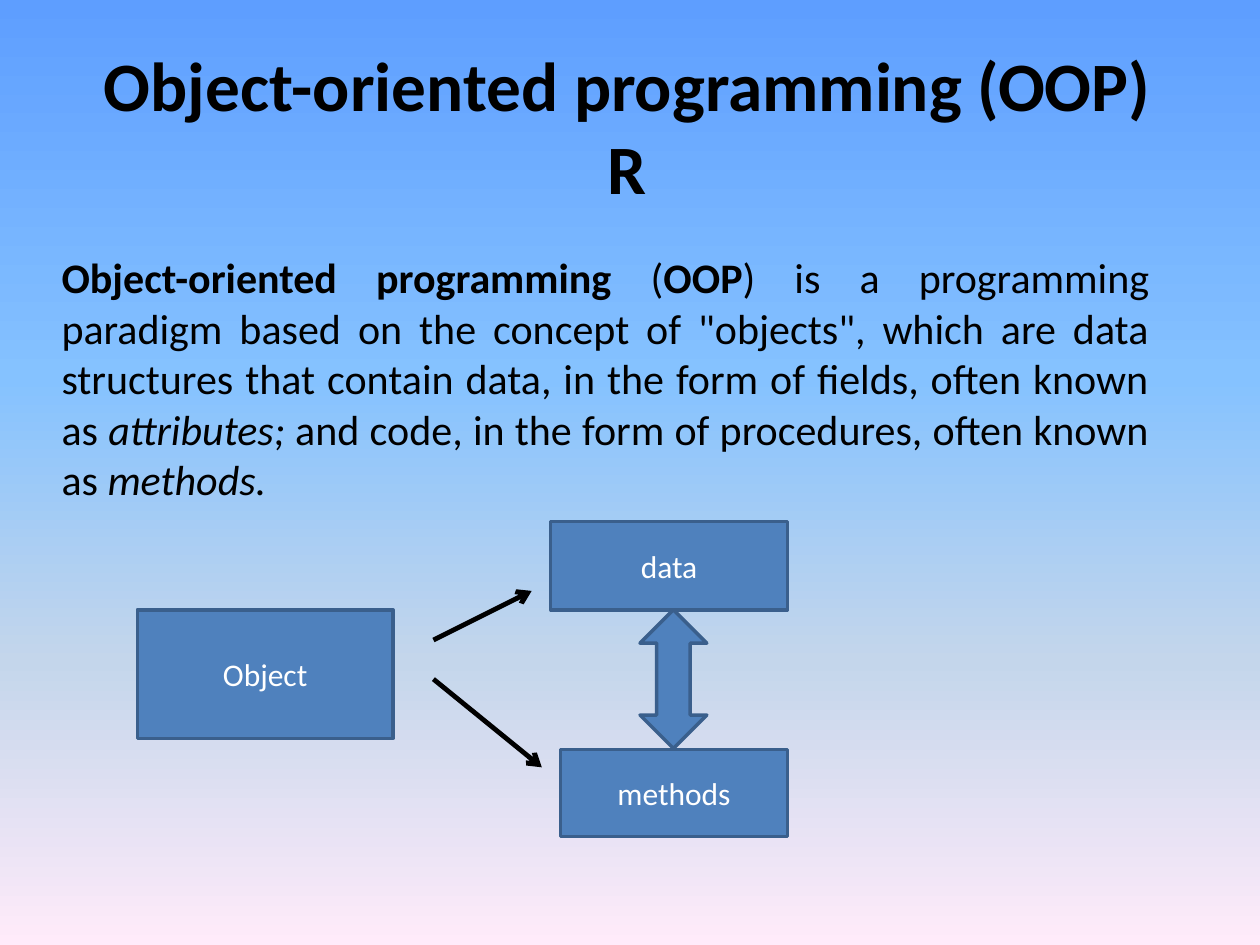
from pptx import Presentation
from pptx.dml.color import RGBColor
from pptx.enum.shapes import MSO_CONNECTOR, MSO_SHAPE
from pptx.enum.text import MSO_ANCHOR as ANCHOR, MSO_AUTO_SIZE as AUTO_SIZE, PP_ALIGN as ALIGN
from pptx.oxml.ns import qn
from pptx.util import Inches, Pt
from lxml.etree import SubElement

FONT = "Calibri"
BLACK = RGBColor(0x00, 0x00, 0x00)
WHITE = RGBColor(0xFF, 0xFF, 0xFF)
BOX_BLUE = RGBColor(0x4F, 0x81, 0xBD)
EDGE_BLUE = RGBColor(0x3A, 0x5F, 0x8C)
SKY = [
    (0, RGBColor(0x5E, 0x9E, 0xFF)),
    (40, RGBColor(0x85, 0xC2, 0xFF)),
    (70, RGBColor(0xC4, 0xD6, 0xEB)),
    (100, RGBColor(0xFF, 0xEB, 0xFA)),
]

DEFINITION = [
    ("Object-oriented programming", "bold"),
    (" (", ""),
    ("OOP", "bold"),
    (') is a programming paradigm based on the concept of "objects", which are '
     "data structures that contain data, in the form of fields, often known as ", ""),
    ("attributes;", "italic"),
    (" and code, in the form of procedures, often known as ", ""),
    ("methods.", "italic"),
]
BOXES = [
    ("Object", (1.09, 4.84, 2.03, 1.02)),
    ("data", (4.37, 4.14, 1.88, 0.7)),
    ("methods", (4.45, 5.95, 1.8, 0.69)),
]
ARROWS = [((3.44, 5.08), (4.22, 4.69)), ((3.44, 5.39), (4.3, 6.09))]
EXCHANGE = (5.08, 4.84, 0.53, 1.1)


def inches(values):
    """Convert a sequence of numbers to lengths."""
    return [Inches(value) for value in values]


def paint_background(slide, stops):
    """Fill the background with a gradient running from top to bottom."""
    slide.background.fill.gradient()
    gradient = slide.element.find(".//" + qn("a:gradFill"))
    stop_list = gradient.find(qn("a:gsLst"))
    for old_stop in list(stop_list):
        stop_list.remove(old_stop)
    for percent, color in stops:
        stop = SubElement(stop_list, qn("a:gs"), pos=str(percent * 1000))
        SubElement(stop, qn("a:srgbClr"), val=str(color))
    direction = gradient.find(qn("a:lin"))
    direction.set("ang", str(90 * 60000))
    direction.set("scaled", "0")


def add_run(paragraph, text, size, color, style=""):
    """Append one formatted run."""
    run = paragraph.add_run()
    run.text = text
    font = run.font
    font.name, font.size = FONT, Pt(size)
    font.bold, font.italic = style == "bold", style == "italic"
    font.color.rgb = color


def set_title(slide, lines, bounds):
    """Place the title placeholder and write its lines."""
    title = slide.shapes.title
    title.left, title.top, title.width, title.height = inches(bounds)
    frame = title.text_frame
    frame.auto_size = AUTO_SIZE.NONE
    frame.vertical_anchor = ANCHOR.MIDDLE
    heading = frame.paragraphs[0]
    heading.alignment = ALIGN.CENTER
    for index, line in enumerate(lines):
        if index:
            heading.add_line_break()
        add_run(heading, line, 39.6, BLACK, "bold")


def add_definition(slide, parts, bounds):
    """Add a justified paragraph of mixed styles."""
    frame = slide.shapes.add_textbox(*inches(bounds)).text_frame
    frame.word_wrap = True
    frame.auto_size = AUTO_SIZE.SHAPE_TO_FIT_TEXT
    paragraph = frame.paragraphs[0]
    paragraph.alignment = ALIGN.JUSTIFY
    for text, style in parts:
        add_run(paragraph, text, 24, BLACK, style)


def add_block(slide, kind, bounds, label=None):
    """Add a blue outlined shape, with a centred label if given."""
    block = slide.shapes.add_shape(kind, *inches(bounds))
    block.shadow.inherit = False
    block.fill.solid()
    block.fill.fore_color.rgb = BOX_BLUE
    block.line.color.rgb = EDGE_BLUE
    block.line.width = Pt(2)
    if label:
        block.text_frame.vertical_anchor = ANCHOR.MIDDLE
        paragraph = block.text_frame.paragraphs[0]
        paragraph.alignment = ALIGN.CENTER
        add_run(paragraph, label, 18, WHITE)


def add_arrow(slide, start, end):
    """Add a black line with an open arrowhead at its end."""
    arrow = slide.shapes.add_connector(MSO_CONNECTOR.STRAIGHT, *inches(start + end))
    arrow.line.color.rgb = BLACK
    arrow.line.width = Pt(2.75)
    SubElement(arrow.line._get_or_add_ln(), qn("a:tailEnd"), type="arrow")
    SubElement(arrow._element.spPr, qn("a:effectLst"))


def main():
    """Build the slide and save it."""
    deck = Presentation()
    deck.slide_width, deck.slide_height = Inches(10), Inches(7.5)
    slide = deck.slides.add_slide(deck.slide_layouts.get_by_name("Title Only"))
    paint_background(slide, SKY)
    set_title(slide, ["Object-oriented programming (OOP)", "R"], (0.47, 0.19, 9.02, 1.61))
    add_definition(slide, DEFINITION, (0.39, 1.95, 8.83, 2.12))
    for label, bounds in BOXES:
        add_block(slide, MSO_SHAPE.RECTANGLE, bounds, label)
    for start, end in ARROWS:
        add_arrow(slide, start, end)
    add_block(slide, MSO_SHAPE.UP_DOWN_ARROW, EXCHANGE)
    deck.save("out.pptx")


main()
